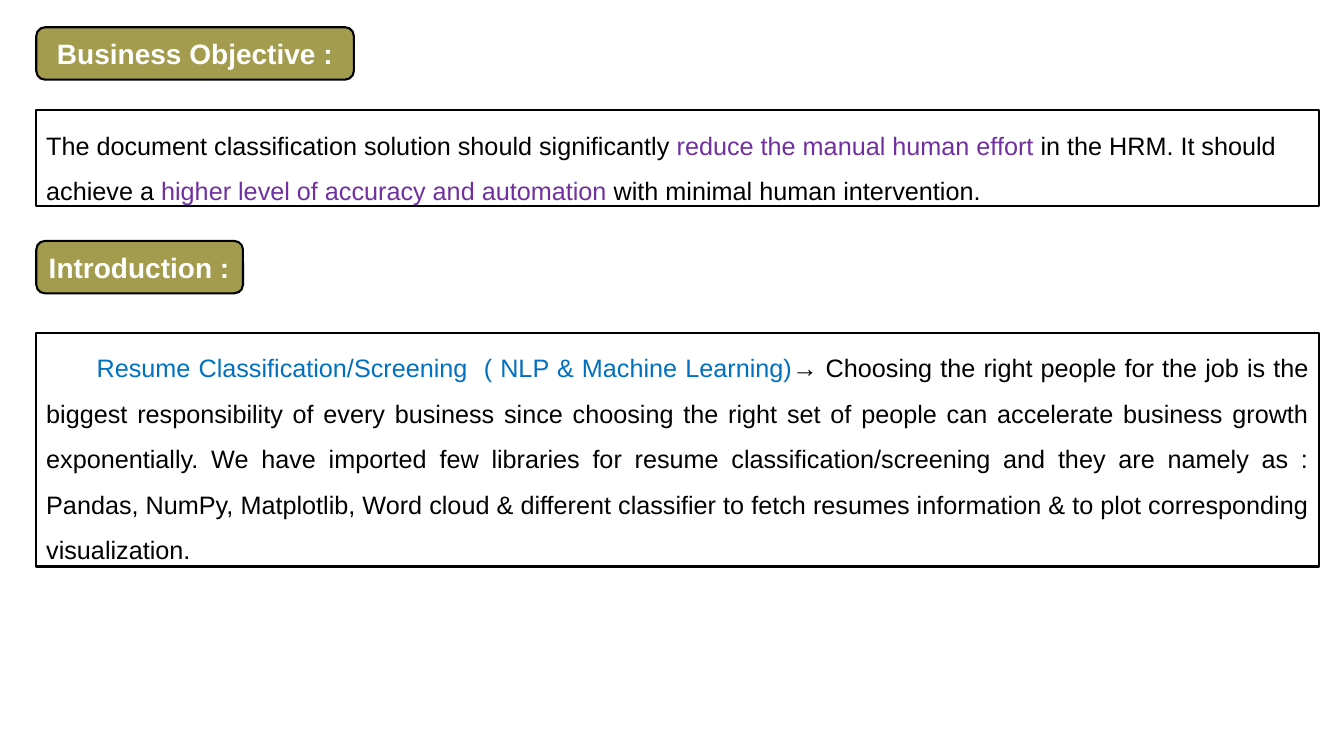
from pptx import Presentation
from pptx.dml.color import RGBColor
from pptx.enum.shapes import MSO_SHAPE as SHAPE
from pptx.enum.text import MSO_ANCHOR as ANCHOR, MSO_AUTO_SIZE as AUTO, PP_ALIGN as ALIGN
from pptx.util import Inches, Pt

BLACK = RGBColor(0x00, 0x00, 0x00)
WHITE = RGBColor(0xFF, 0xFF, 0xFF)
OLIVE = RGBColor(0xA3, 0x9B, 0x4E)
PURPLE = RGBColor(0x70, 0x30, 0xA0)
BLUE = RGBColor(0x00, 0x70, 0xC0)

OBJECTIVE = [
    ("The document classification solution should significantly ", BLACK),
    ("reduce the manual human effort ", PURPLE),
    ("in the HRM. It should achieve a ", BLACK),
    ("higher level of accuracy and automation ", PURPLE),
    ("with minimal human intervention.", BLACK),
]
INTRODUCTION = [
    ("Resume Classification/Screening  ( NLP & Machine Learning)", BLUE),
    ("→ Choosing the right people for the job is the biggest responsibility of every "
     "business since choosing the right set of people can accelerate business growth "
     "exponentially. We have imported few libraries for resume classification/screening "
     "and they are namely as : Pandas, NumPy, Matplotlib, Word cloud & different "
     "classifier to fetch resumes information & to plot corresponding visualization.", BLACK),
]
# title, top, width, left inset
HEADINGS = [
    ("Business Objective :", 0.27, 3.15, 0.18),
    ("Introduction :", 2.39, 2.05, 0.1),
]
# runs, top, height, alignment, first-line indent
BODIES = [
    (OBJECTIVE, 1.09, 0.95, ALIGN.LEFT, 0),
    (INTRODUCTION, 3.3, 2.32, ALIGN.JUSTIFY, 0.5),
]
LEFT, BODY_W, HEADING_H = 0.36, 12.72, 0.52


def add_box(s, kind, top, width, height, runs, size, bold=False, fill=None):
    """Add an outlined box with one paragraph of coloured runs."""
    sp = s.shapes.add_shape(kind, Inches(LEFT), Inches(top), Inches(width), Inches(height))
    sp.shadow.inherit = False
    sp.line.color.rgb = BLACK
    sp.line.width = Pt(1.5)
    if fill is None:
        sp.fill.background()
    else:
        sp.fill.solid()
        sp.fill.fore_color.rgb = fill
    tf = sp.text_frame
    tf.word_wrap = True
    p = tf.paragraphs[0]
    p.alignment = ALIGN.LEFT
    for text, color in runs:
        r = p.add_run()
        r.text = text
        r.font.name = "Arial"
        r.font.size = Pt(size)
        r.font.bold = bold
        r.font.color.rgb = color
    return tf


def main():
    prs = Presentation()
    prs.slide_width, prs.slide_height = Inches(13.33), Inches(7.5)
    s = prs.slides.add_slide(prs.slide_layouts[6])

    for runs, top, height, align, indent in BODIES:
        tf = add_box(s, SHAPE.RECTANGLE, top, BODY_W, height, runs, 18)
        tf.vertical_anchor = ANCHOR.TOP
        tf.auto_size = AUTO.SHAPE_TO_FIT_TEXT
        p = tf.paragraphs[0]
        p.alignment = align
        p.line_spacing = 1.5
        if indent:
            pPr = p._p.get_or_add_pPr()
            pPr.set("marL", "0")
            pPr.set("indent", str(Inches(indent)))

    for title, top, width, inset in HEADINGS:
        tf = add_box(s, SHAPE.ROUNDED_RECTANGLE, top, width, HEADING_H,
                     [(title, WHITE)], 20, bold=True, fill=OLIVE)
        tf.vertical_anchor = ANCHOR.MIDDLE
        tf.margin_left = Inches(inset)

    prs.save("out.pptx")


if __name__ == "__main__":
    main()
